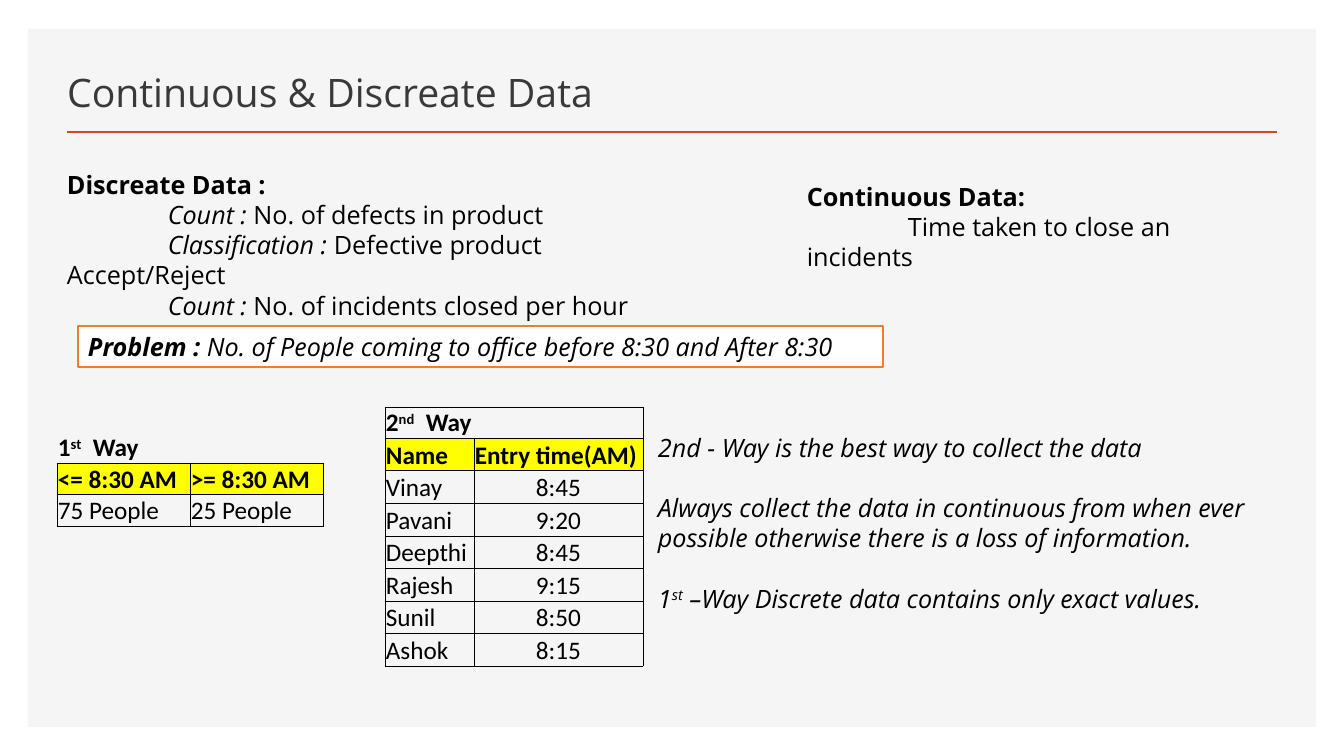
from lxml.etree import SubElement
from pptx import Presentation
from pptx.dml.color import RGBColor
from pptx.enum.shapes import MSO_CONNECTOR as CONN, MSO_SHAPE as SHAPE
from pptx.enum.text import MSO_ANCHOR as ANCHOR, MSO_AUTO_SIZE as AUTO, PP_ALIGN as ALIGN
from pptx.oxml.ns import qn
from pptx.util import Emu, Pt

PX = 914400 / 100.8
COLORS = {"panel": "F5F5F5", "rule": "D24726", "title": "3B3838", "text": "000000",
          "box": "FFFFFF", "edge": "ED7D31", "head": "FFFF00"}
BODY, TABLE = "Open Sans", "Calibri"
LINE, TAB = Pt(21.6), 101

# A run is (text, flags): b = bold, i = italic, s = superscript
TITLE = [[("Continuous & Discreate Data", "")]]
DISCRETE = [
    [("Discreate Data : ", "b")],
    [("Count :", "i"), (" No. of defects in product", "")],
    [("Classification : ", "i"), ("Defective product Accept/Reject", "")],
    [("Count : ", "i"), ("No. of incidents closed per hour", "")],
]
CONTINUOUS = [[("Continuous Data: ", "b")], [("Time taken to close an incidents", "")]]
PROBLEM = [[("Problem : ", "bi"),
            ("No. of People coming to office before 8:30 and After 8:30", "i")]]
ADVICE = [
    [("2nd - Way is the best way to collect the data", "i")],
    [("Always collect the data in continuous from when ever possible "
      "otherwise there is a loss of information.", "i")],
    [("1", "i"), ("st", "is"), (" \u2013Way Discrete data contains only exact values.", "i")],
]
FIRST_WAY = {
    "at": (57, 432), "cols": (133, 133), "height": 94, "caption_sides": "B",
    "caption": [("1", "b"), ("st", "bs"), ("  Way", "b")],
    "rows": [("<= 8:30 AM", ">= 8:30 AM"), ("75 People", "25 People")],
    "aligns": (ALIGN.LEFT, ALIGN.LEFT),
}
SECOND_WAY = {
    "at": (385, 407), "cols": (89, 169), "height": 259, "caption_sides": "LRTB",
    "caption": [("2", "b"), ("nd", "bs"), ("  Way", "b")],
    "rows": [("Name", "Entry time(AM)"), ("Vinay", "8:45"), ("Pavani", "9:20"),
             ("Deepthi", "8:45"), ("Rajesh", "9:15"), ("Sunil", "8:50"), ("Ashok", "8:15")],
    "aligns": (ALIGN.LEFT, ALIGN.CENTER),
}
CAPTION_H = 31
NO_STYLE = "{2D5ABB26-0587-4C30-8999-92F81FD0307C}"


def px(*values):
    """Turn pixels into EMU lengths."""
    return [Emu(round(v * PX)) for v in values]


def rgb(name):
    """Look up a named colour."""
    return RGBColor.from_string(COLORS[name])


def apply(obj, values):
    """Set attributes from a dict of format values."""
    for name, value in values.items():
        setattr(obj, name, value)


def write(tf, paras, font=BODY, size=18, color="text", indent=0, **fmt):
    """Fill a text frame; indent shifts the first line of all but the first paragraph."""
    for n, runs in enumerate(paras):
        p = tf.add_paragraph() if n else tf.paragraphs[0]
        apply(p, {"alignment": ALIGN.LEFT, **fmt})
        if n and indent:
            p._p.get_or_add_pPr().set("indent", str(px(indent)[0]))
        for text, flags in runs:
            r = p.add_run()
            r.text = text
            apply(r.font, {"name": font, "size": Pt(size),
                           "bold": "b" in flags, "italic": "i" in flags})
            r.font.color.rgb = rgb(color)
            if "s" in flags:
                r.font._element.set("baseline", "30000")


def add_text(box, paras, **fmt):
    """Add a wrapping text box."""
    tf = slide.shapes.add_textbox(*px(*box)).text_frame
    tf.word_wrap = True
    write(tf, paras, line_spacing=LINE, **fmt)


def add_rect(box, fill, edge=None):
    """Add a flat rectangle with an optional outline."""
    sp = slide.shapes.add_shape(SHAPE.RECTANGLE, *px(*box))
    sp.shadow.inherit = False
    sp.fill.solid()
    sp.fill.fore_color.rgb = rgb(fill)
    if edge:
        sp.line.color.rgb = rgb(edge)
        sp.line.width = Pt(1)
    else:
        sp.line.fill.background()
    return sp


def set_borders(cell, sides):
    """Draw thin lines on the given sides of a cell and none on the others."""
    tc_pr = cell._tc.get_or_add_tcPr()
    for side in "LRTB":
        ln = SubElement(tc_pr, qn("a:ln" + side), w=str(Pt(0.5)))
        if side in sides:
            fill = SubElement(ln, qn("a:solidFill"))
            SubElement(fill, qn("a:srgbClr"), val=COLORS["text"])
        else:
            SubElement(ln, qn("a:noFill"))


def fill_cell(cell, runs, align, sides="LRTB", fill=None):
    """Format one table cell and write its text."""
    inset = Pt(0.7)
    apply(cell, {"margin_left": inset, "margin_right": inset, "margin_top": inset,
                 "margin_bottom": 0, "vertical_anchor": ANCHOR.BOTTOM})
    set_borders(cell, sides)
    if fill:
        cell.fill.solid()
        cell.fill.fore_color.rgb = rgb(fill)
    else:
        cell.fill.background()
    write(cell.text_frame, [runs], font=TABLE, alignment=align)


def add_way(way):
    """Add a table with a merged caption, a yellow header row and data rows."""
    rows, cols, height = way["rows"], way["cols"], way["height"]
    frame = slide.shapes.add_table(len(rows) + 1, len(cols),
                                   *px(*way["at"], sum(cols), height))
    tbl = frame.table
    apply(tbl, {"first_row": False, "horz_banding": False})
    tbl._tbl.tblPr.find(qn("a:tableStyleId")).text = NO_STYLE
    for col, width in zip(tbl.columns, cols):
        col.width = px(width)[0]
    row_h = (height - CAPTION_H) / len(rows)
    for n, row in enumerate(tbl.rows):
        row.height = px(row_h if n else CAPTION_H)[0]
    tbl.cell(0, 0).merge(tbl.cell(0, len(cols) - 1))
    for c in range(len(cols)):
        fill_cell(tbl.cell(0, c), [] if c else way["caption"], ALIGN.LEFT,
                  way["caption_sides"])
    for n, texts in enumerate(rows):
        for c, text in enumerate(texts):
            align = way["aligns"][c] if n else ALIGN.LEFT
            fill_cell(tbl.cell(n + 1, c), [(text, "" if n else "b")], align,
                      fill=None if n else "head")


prs = Presentation()
prs.slide_width, prs.slide_height = px(1344, 756)
slide = prs.slides.add_slide(prs.slide_layouts[5])

panel = add_rect((28, 29, 1288, 698), "panel")
slide.shapes._spTree.insert(2, panel._element)

rule = slide.shapes.add_connector(CONN.STRAIGHT, *px(67, 132, 1277, 132))
rule.line.color.rgb = rgb("rule")
rule.line.width = Pt(2)
SubElement(rule._element.spPr, qn("a:effectLst"))

title = slide.shapes.title
apply(title, dict(zip(("left", "top", "width", "height"), px(57, 49, 758, 71))))
apply(title.text_frame, {"vertical_anchor": ANCHOR.BOTTOM, "word_wrap": True,
                         "auto_size": AUTO.NONE})
write(title.text_frame, TITLE, size=28, color="title")

add_text((57, 164, 659, 162), DISCRETE, indent=TAB)
add_text((797, 176, 479, 101), CONTINUOUS, indent=TAB)

problem = add_rect((78, 326, 805, 41), "box", "edge")
apply(problem.text_frame, {"vertical_anchor": ANCHOR.MIDDLE, "word_wrap": True})
write(problem.text_frame, PROBLEM)

add_way(FIRST_WAY)
add_way(SECOND_WAY)
add_text((648, 427, 672, 193), ADVICE, space_after=LINE)

prs.save("out.pptx")
